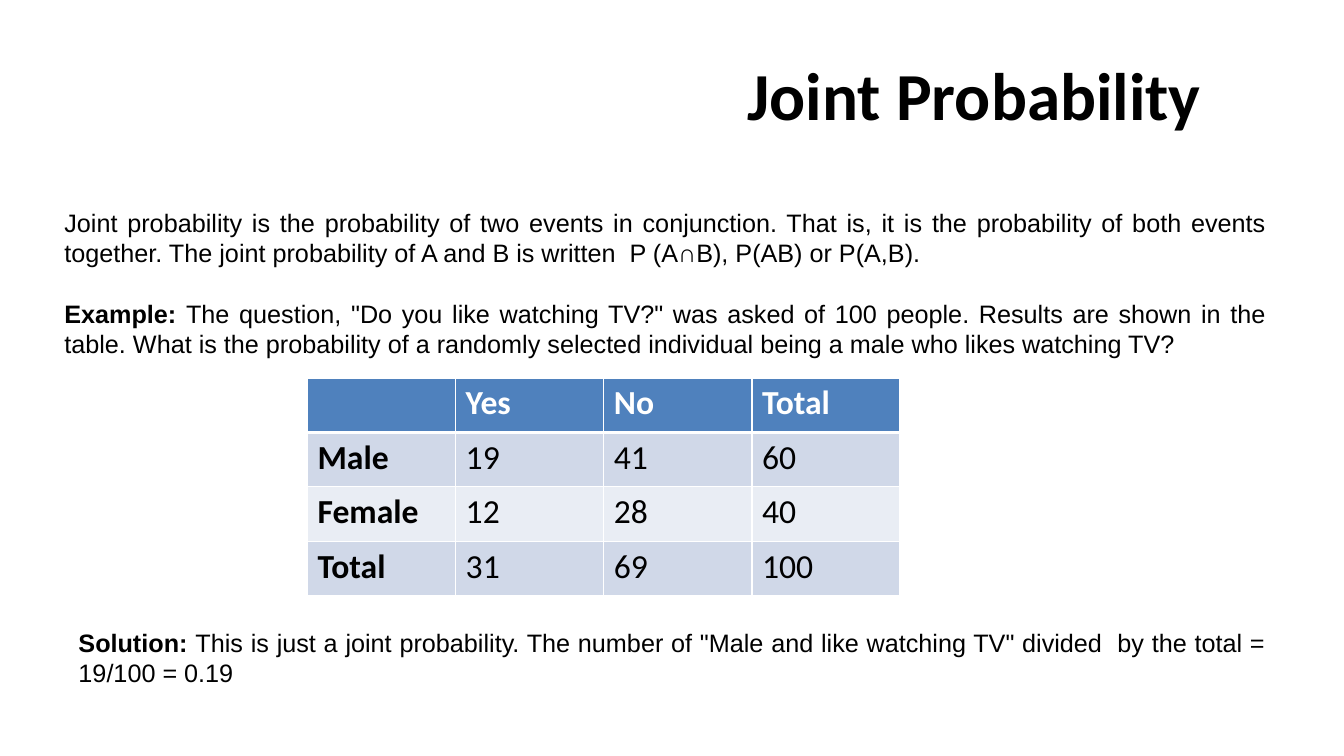
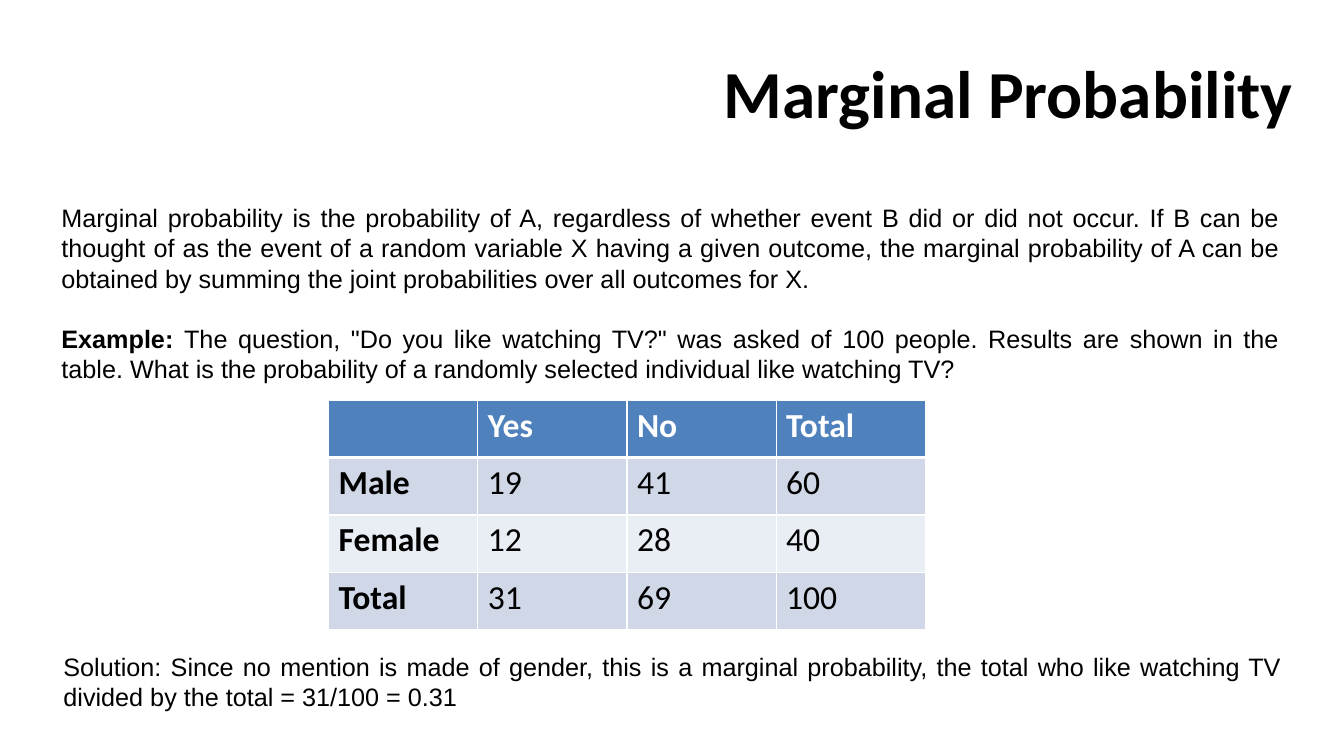
from dataclasses import dataclass

from lxml import etree
from pptx import Presentation
from pptx.dml.color import RGBColor
from pptx.enum.text import MSO_ANCHOR, PP_ALIGN
from pptx.oxml.ns import qn
from pptx.util import Inches, Pt

CENTER = PP_ALIGN.CENTER
JUSTIFY = PP_ALIGN.JUSTIFY
TOP = MSO_ANCHOR.TOP
MIDDLE = MSO_ANCHOR.MIDDLE
BLANK = 6


@dataclass(frozen=True)
class Theme:
    ink: str = "000000"
    white: str = "FFFFFF"
    head: str = "4F81BD"
    bands: tuple = ("D0D8E8", "E9EDF4")
    sans: str = "Arial"
    face: str = "Calibri"
    title: float = 48
    cell: float = 24
    body: float = 18
    gap: float = 21.5
    thin: float = 1
    thick: float = 3


class Deck:
    def __init__(self, theme):
        self.theme = theme
        self.file = Presentation()
        self.file.slide_width = Inches(13.33)
        self.file.slide_height = Inches(7.5)
        self.slide = None

    def add(self):
        self.slide = self.file.slides.add_slide(self.file.slide_layouts[BLANK])

    def place(self, box):
        wide, high = self.file.slide_width, self.file.slide_height
        return [int(part * full / 100) for part, full in zip(box, (wide, high) * 2)]

    def words(self, para, text, size, face, bold, color):
        run = para.add_run()
        run.text = text
        run.font.size = Pt(size)
        run.font.name = face
        run.font.bold = bold
        run.font.color.rgb = RGBColor.from_string(color)

    def frame(self, box, anchor=TOP):
        frame = self.slide.shapes.add_textbox(*self.place(box)).text_frame
        frame.word_wrap = True
        frame.vertical_anchor = anchor
        return frame

    def title(self, box, text):
        para = self.frame(box, MIDDLE).paragraphs[0]
        para.alignment = CENTER
        self.words(para, text, self.theme.title, self.theme.face, True, self.theme.ink)

    def prose(self, box, *paras):
        frame = self.frame(box)
        for index, (lead, text) in enumerate(paras):
            para = frame.add_paragraph() if index else frame.paragraphs[0]
            para.alignment = JUSTIFY
            para.space_before = Pt(self.theme.gap if index else 0)
            for part, bold in ((lead, True), (text, False)):
                if part:
                    self.words(para, part, self.theme.body, self.theme.sans, bold, self.theme.ink)

    def edge(self, cell, side, width):
        line = etree.SubElement(cell._tc.get_or_add_tcPr(), qn("a:ln" + side), w=str(Pt(width)))
        fill = etree.SubElement(line, qn("a:solidFill"))
        etree.SubElement(fill, qn("a:srgbClr"), val=self.theme.white)

    def table(self, box, rows):
        theme = self.theme
        grid = self.slide.shapes.add_table(len(rows), len(rows[0]), *self.place(box)).table
        for r, row in enumerate(rows):
            tone = theme.bands[(r - 1) % 2] if r else theme.head
            color = theme.ink if r else theme.white
            tops = theme.thick if r == 1 else theme.thin
            base = theme.thin if r else theme.thick
            for c, text in enumerate(row):
                cell = grid.cell(r, c)
                for side, width in zip("LRTB", (theme.thin, theme.thin, tops, base)):
                    self.edge(cell, side, width)
                cell.fill.solid()
                cell.fill.fore_color.rgb = RGBColor.from_string(tone)
                if text:
                    para = cell.text_frame.paragraphs[0]
                    self.words(para, text, theme.cell, theme.face, r == 0 or c == 0, color)


POLL = (
    ("", "Yes", "No", "Total"),
    ("Male", "19", "41", "60"),
    ("Female", "12", "28", "40"),
    ("Total", "31", "69", "100"),
)
ASK = (
    'The question, "Do you like watching TV?" was asked of 100 people. Results are shown '
    "in the table. What is the probability of a randomly selected individual "
)


def joint(deck):
    deck.add()
    deck.title((50, 4, 45, 16.67), "Joint Probability")
    deck.prose(
        (4.05, 26.8, 90.9, 25.6),
        ("", "Joint probability is the probability of two events in conjunction. That is, "
             "it is the probability of both events together. The joint probability of A and B "
             "is written  P (A∩B), P(AB) or P(A,B)."),
        ("Example: ", ASK + "being a male who likes watching TV?"),
    )
    deck.table((22.88, 50, 44.1, 28.8), POLL)
    deck.prose(
        (5.1, 82.27, 89.8, 9.47),
        ("Solution: ", 'This is just a joint probability. The number of "Male and like '
                       'watching TV" divided  by the total = 19/100 = 0.19'),
    )


def margin(deck):
    deck.add()
    deck.title((51.23, 3.73, 47.63, 16.67), "Marginal Probability")
    deck.prose(
        (3.83, 26.13, 92.1, 25.6),
        ("", "Marginal probability is the probability of A, regardless of whether event B did "
             "or did not occur. If B can be thought of as the event of a random variable X "
             "having a given outcome, the marginal probability of A can be obtained by summing "
             "the joint probabilities over all outcomes for X."),
        ("Example: ", ASK + "like watching TV?"),
    )
    deck.table((24.45, 52.93, 44.4, 30.4), POLL)
    deck.prose(
        (3.98, 85.47, 92.1, 9.47),
        ("", "Solution: Since no mention is made of gender, this is a marginal probability, "
             "the total who like watching TV divided by the total = 31/100 = 0.31"),
    )


def main():
    deck = Deck(Theme())
    joint(deck)
    margin(deck)
    deck.file.save("out.pptx")


if __name__ == "__main__":
    main()
